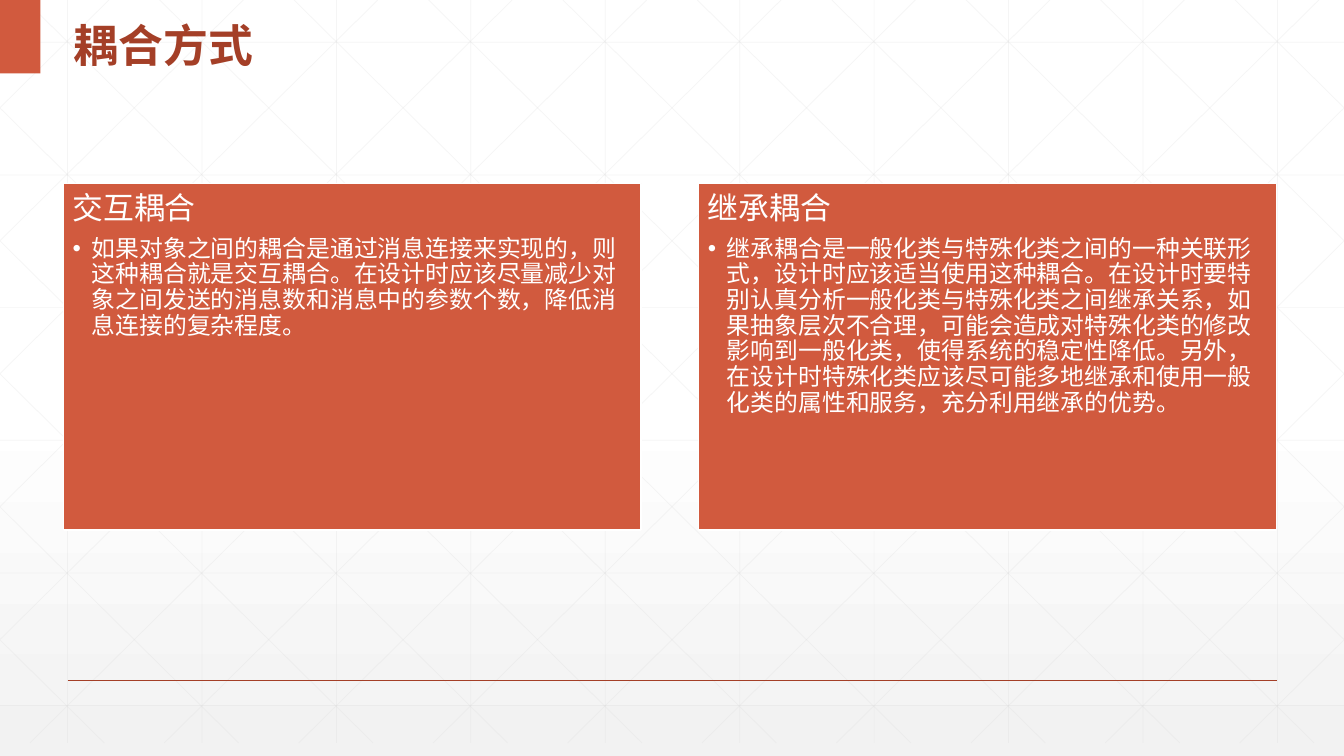
from dataclasses import dataclass

from lxml.etree import SubElement
from pptx import Presentation
from pptx.dml.color import RGBColor
from pptx.enum.shapes import MSO_CONNECTOR, MSO_SHAPE
from pptx.enum.text import MSO_ANCHOR, MSO_AUTO_SIZE, PP_ALIGN
from pptx.oxml import parse_xml
from pptx.oxml.ns import nsdecls, qn
from pptx.shapes.autoshape import Shape
from pptx.slide import Slide
from pptx.text.text import TextFrame
from pptx.util import Inches, Pt


@dataclass(frozen=True)
class Theme:
    accent: str = "D15A3E"
    dark_accent: str = "A43F27"
    white: str = "FFFFFF"
    shade: str = "F2F2F2"
    grid: str = "D9D9D9"
    title_font: str = "Noto Sans CJK SC"
    body_font: str = "Arial"
    title_size: float = 32
    heading_size: float = 22
    body_size: float = 17


@dataclass(frozen=True)
class Card:
    left: float
    heading: str
    body: str


THEME = Theme()
WIDTH, HEIGHT = 13.33, 7.5
GRID_BOTTOM = 7.37
GRID_STEP = 4 / 3
DIAGONAL_RUN = 7.45

CARDS = [
    Card(0.63, "交互耦合",
         "如果对象之间的耦合是通过消息连接来实现的，则这种耦合就是交互耦合。"
         "在设计时应该尽量减少对象之间发送的消息数和消息中的参数个数，降低消息连接的复杂程度。"),
    Card(6.93, "继承耦合",
         "继承耦合是一般化类与特殊化类之间的一种关联形式，设计时应该适当使用这种耦合。"
         "在设计时要特别认真分析一般化类与特殊化类之间继承关系，如果抽象层次不合理，"
         "可能会造成对特殊化类的修改影响到一般化类，使得系统的稳定性降低。"
         "另外，在设计时特殊化类应该尽可能多地继承和使用一般化类的属性和服务，充分利用继承的优势。"),
]


def add_line(slide: Slide, start: tuple[float, float], end: tuple[float, float],
             color: str, width: float, opacity: int = 100) -> None:
    points = [Inches(value) for value in (*start, *end)]
    connector = slide.shapes.add_connector(MSO_CONNECTOR.STRAIGHT, *points)
    connector.line.width = Pt(width)
    connector.line.color.rgb = RGBColor.from_string(color)
    properties = connector.element.spPr
    if opacity < 100:
        color_element = next(properties.iter(qn("a:srgbClr")))
        SubElement(color_element, qn("a:alpha"), val=str(opacity * 1000))
    SubElement(properties, qn("a:effectLst"))


def add_rectangle(slide: Slide, left: float, top: float, width: float, height: float) -> Shape:
    shape = slide.shapes.add_shape(
        MSO_SHAPE.RECTANGLE, Inches(left), Inches(top), Inches(width), Inches(height))
    shape.shadow.inherit = False
    shape.fill.solid()
    shape.fill.fore_color.rgb = RGBColor.from_string(THEME.accent)
    shape.line.fill.background()
    return shape


def set_background(slide: Slide) -> None:
    fill = slide.background.fill
    fill.gradient()
    fill.gradient_angle = 270
    stop_list = next(slide.element.iter(qn("a:gsLst")))
    for stop in list(stop_list):
        stop_list.remove(stop)
    for position, color, opacity in ((0, THEME.white, 100), (53, THEME.white, 100),
                                     (100, THEME.shade, 65)):
        stop_list.append(parse_xml(
            f'<a:gs {nsdecls("a")} pos="{position * 1000}"><a:srgbClr val="{color}">'
            f'<a:alpha val="{opacity * 1000}"/></a:srgbClr></a:gs>'))


def draw_grid(slide: Slide) -> None:
    def grid_line(start: tuple[float, float], end: tuple[float, float]) -> None:
        add_line(slide, start, end, THEME.grid, 0.5, 25)

    for column in range(10):
        x = 0.67 + column * GRID_STEP
        grid_line((x, 0), (x, GRID_BOTTOM))
    for row in range(6):
        y = 0.42 + row * 1.316
        grid_line((0, y), (WIDTH, y))

    # Diagonals, clipped at the slide edges, and their mirror images
    slope = GRID_BOTTOM / DIAGONAL_RUN
    for index in range(-5, 10):
        origin = 0.25 + index * GRID_STEP
        left = max(origin, 0)
        right = min(origin + DIAGONAL_RUN, WIDTH)
        top, bottom = (left - origin) * slope, (right - origin) * slope
        grid_line((left, top), (right, bottom))
        grid_line((WIDTH - left, top), (WIDTH - right, bottom))


def add_paragraph_text(frame: TextFrame, text: str, size: float, space_after: float,
                       bullet: bool = False) -> None:
    paragraph = frame.add_paragraph() if frame.paragraphs[0].runs else frame.paragraphs[0]
    paragraph.alignment = PP_ALIGN.LEFT
    paragraph.line_spacing = 0.9
    paragraph.space_before = Pt(0)
    paragraph.space_after = Pt(space_after)
    if bullet:
        paragraph.level = 1
        properties = paragraph._p.get_or_add_pPr()
        properties.set("marL", str(Inches(0.19)))
        properties.set("indent", str(-Inches(0.19)))
        SubElement(properties, qn("a:buFont"), typeface=THEME.body_font)
        SubElement(properties, qn("a:buChar"), char="•")
    run = paragraph.add_run()
    run.text = text
    run.font.size = Pt(size)
    run.font.name = THEME.body_font
    run.font.color.rgb = RGBColor.from_string(THEME.white)


def draw_card(slide: Slide, card: Card) -> None:
    shape = add_rectangle(slide, card.left, 1.82, 5.73, 3.44)
    shape.line.color.rgb = RGBColor.from_string(THEME.white)
    shape.line.width = Pt(1)
    frame = shape.text_frame
    frame.word_wrap = True
    frame.vertical_anchor = MSO_ANCHOR.TOP
    frame.margin_left = frame.margin_right = Inches(0.09)
    frame.margin_top = frame.margin_bottom = Inches(0.09)
    add_paragraph_text(frame, card.heading, THEME.heading_size, 7.7)
    add_paragraph_text(frame, card.body, THEME.body_size, 2.55, bullet=True)


def draw_title(slide: Slide, text: str) -> None:
    title = slide.shapes.title
    title.left, title.top = Inches(0.63), Inches(0)
    title.width, title.height = Inches(5.69), Inches(0.73)
    frame = title.text_frame
    frame.auto_size = MSO_AUTO_SIZE.NONE
    frame.word_wrap = True
    frame.vertical_anchor = MSO_ANCHOR.MIDDLE
    paragraph = frame.paragraphs[0]
    paragraph.alignment = PP_ALIGN.LEFT
    paragraph.line_spacing = 1.3
    run = paragraph.add_run()
    run.text = text
    run.font.size = Pt(THEME.title_size)
    run.font.bold = True
    run.font.name = THEME.title_font
    run.font.color.rgb = RGBColor.from_string(THEME.dark_accent)
    SubElement(run.font._element, qn("a:ea"), typeface=THEME.title_font)
    # Bring the title in front of the grid
    title.element.getparent().append(title.element)


def main() -> None:
    presentation = Presentation()
    presentation.slide_width = Inches(WIDTH)
    presentation.slide_height = Inches(HEIGHT)
    slide = presentation.slides.add_slide(presentation.slide_layouts.get_by_name("Title Only"))

    # Backdrop
    set_background(slide)
    draw_grid(slide)
    add_line(slide, (0.67, 6.75), (12.67, 6.75), THEME.dark_accent, 1)
    add_rectangle(slide, 0, 0, 0.4, 0.73)

    # Content
    draw_title(slide, "耦合方式")
    for card in CARDS:
        draw_card(slide, card)
    presentation.save("out.pptx")


if __name__ == "__main__":
    main()
